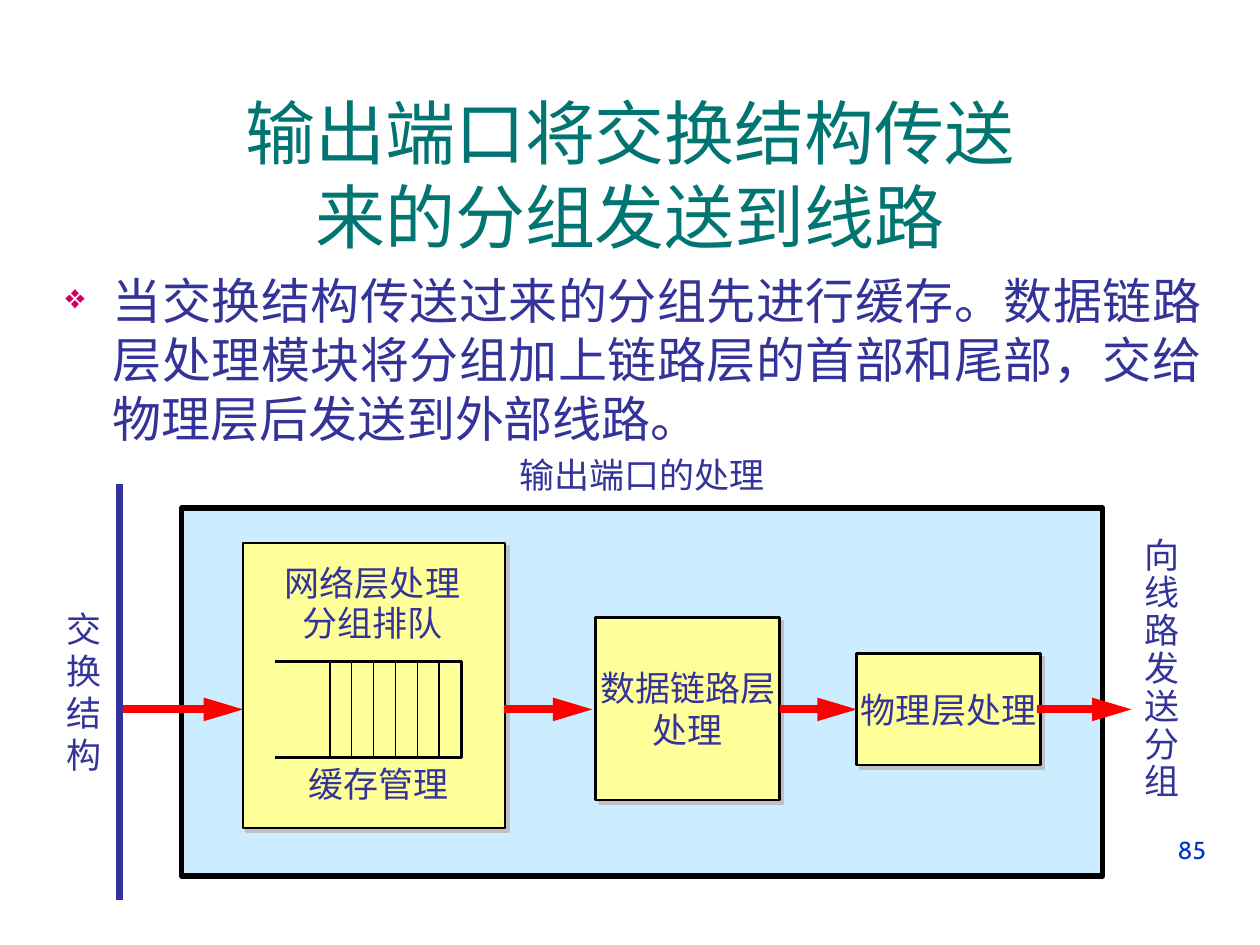
"""Build the slide on output port processing in a router."""

import dataclasses
import typing

import lxml.etree
import pptx
import pptx.dml.color
import pptx.enum.shapes
import pptx.enum.text
import pptx.oxml.ns
import pptx.util

Cm = pptx.util.Cm
Pt = pptx.util.Pt
Align = pptx.enum.text.PP_ALIGN
Anchor = pptx.enum.text.MSO_ANCHOR

INK = "333399"
BLACK = "000000"
RED = "FF0000"
YELLOW = "FFFF99"
ARROW_Y = 14.3
QUEUE_LEFT, QUEUE_TOP, QUEUE_RIGHT, QUEUE_BOTTOM = 5.54, 13.34, 9.3, 15.27
SLOT_LEFT, SLOT_STEP, SLOT_COUNT = 6.65, 0.44, 6


@dataclasses.dataclass
class Block:
    left: float
    top: float
    width: float
    height: float
    lines: tuple[str, ...] = ()
    fill: str = YELLOW
    border: float = 1.5
    shadow: bool = True


@dataclasses.dataclass
class Label:
    left: float
    top: float
    width: float
    height: float
    lines: typing.Sequence[str]
    spacing: float = 1.0


@dataclasses.dataclass
class Line:
    start: tuple[float, float]
    end: tuple[float, float]
    color: str
    width: float
    arrow: bool = False


BLOCKS = [
    Block(3.66, 10.24, 18.57, 7.42, fill="CCECFF", border=3, shadow=False),
    Block(17.27, 13.18, 3.71, 2.24, ("物理层处理",)),
    Block(12.01, 12.45, 3.71, 3.68, ("数据链路层", "处理")),
    Block(4.9, 10.95, 5.28, 5.74),
]
LABELS = [
    Label(5.49, 11.25, 4.04, 1.85, ("网络层处理", "分组排队"), 0.95),
    Label(10.22, 9.02, 5.45, 1.12, ("输出端口的处理",)),
    Label(22.81, 10.72, 1.22, 5.59, "向线路发送分组", 0.9),
    Label(5.97, 15.24, 3.33, 1.09, ("缓存管理",)),
    Label(1.09, 12.12, 1.22, 3.63, "交换结构"),
]
ARROW_SPANS = [(20.9, 22.81), (15.72, 17.27), (10.16, 11.94), (2.41, 4.9)]


def rgb(value: str) -> pptx.dml.color.RGBColor:
    return pptx.dml.color.RGBColor.from_string(value)


def add_element(parent, tag: str, **attributes: str):
    return lxml.etree.SubElement(parent, pptx.oxml.ns.qn(tag), attributes)


def format_paragraph(paragraph, size: float, color: str, align, name: str = "Arial") -> None:
    paragraph.alignment = align
    paragraph.font.size = Pt(size)
    paragraph.font.name = name
    paragraph.font.color.rgb = rgb(color)


def write_lines(frame, lines: typing.Sequence[str], spacing: float = 1.0) -> None:
    frame.word_wrap = False
    for index, line in enumerate(lines):
        paragraph = frame.add_paragraph() if index else frame.paragraphs[0]
        paragraph.text = line
        paragraph.line_spacing = spacing
        format_paragraph(paragraph, 20, INK, Align.CENTER)


def add_text_box(slide, left: float, top: float, width: float, height: float):
    shape = slide.shapes.add_textbox(Cm(left), Cm(top), Cm(width), Cm(height))
    shape.text_frame.word_wrap = True
    return shape.text_frame


def add_title(slide) -> None:
    title = slide.shapes.title
    title.left, title.top = Cm(0.84), Cm(1.9)
    title.width, title.height = Cm(23.72), Cm(3.18)
    frame = title.text_frame
    frame.text = "输出端口将交换结构传送\v来的分组发送到线路"
    frame.vertical_anchor = Anchor.MIDDLE
    frame.auto_size = pptx.enum.text.MSO_AUTO_SIZE.NONE
    format_paragraph(frame.paragraphs[0], 40, "007572", Align.CENTER)


def add_body(slide) -> None:
    paragraph = add_text_box(slide, 1.07, 5.33, 23.42, 3.84).paragraphs[0]
    paragraph.text = (
        "当交换结构传送过来的分组先进行缓存。数据链路层处理模块将分组"
        "加上链路层的首部和尾部，交给物理层后发送到外部线路。"
    )
    properties = paragraph._p.get_or_add_pPr()
    properties.set("marL", str(Cm(0.95)))
    properties.set("indent", str(Cm(-0.95)))
    add_element(add_element(properties, "a:buClr"), "a:srgbClr", val="CC0066")
    add_element(properties, "a:buSzPct", val="70000")
    add_element(properties, "a:buChar", char="❖")
    format_paragraph(paragraph, 28, INK, Align.JUSTIFY, "Cabin")


def add_page_number(slide) -> None:
    paragraph = add_text_box(slide, 18.21, 16.71, 6.35, 1.32).paragraphs[0]
    paragraph.text = "85"
    format_paragraph(paragraph, 14, "0033CC", Align.RIGHT, "Cabin")


def add_block(slide, block: Block) -> None:
    shape = slide.shapes.add_shape(
        pptx.enum.shapes.MSO_SHAPE.RECTANGLE,
        Cm(block.left), Cm(block.top), Cm(block.width), Cm(block.height),
    )
    shape.fill.solid()
    shape.fill.fore_color.rgb = rgb(block.fill)
    shape.line.color.rgb = rgb(BLACK)
    shape.line.width = Pt(block.border)
    shape.shadow.inherit = False
    if block.shadow:
        effects = shape._element.spPr.find(pptx.oxml.ns.qn("a:effectLst"))
        shadow = add_element(
            effects, "a:outerShdw", dist=str(Pt(2.8)), dir="2700000", algn="ctr", rotWithShape="0"
        )
        add_element(shadow, "a:srgbClr", val="C0C0C0")
    if block.lines:
        shape.text_frame.vertical_anchor = Anchor.MIDDLE
        write_lines(shape.text_frame, block.lines)


def add_line(slide, line: Line) -> None:
    connector = slide.shapes.add_connector(
        pptx.enum.shapes.MSO_CONNECTOR.STRAIGHT,
        *(Cm(value) for value in line.start + line.end),
    )
    connector.line.color.rgb = rgb(line.color)
    connector.line.width = Pt(line.width)
    if line.arrow:
        add_element(connector.line._ln, "a:tailEnd", type="triangle", w="med", len="lg")
    add_element(connector._element.spPr, "a:effectLst")


def add_queue(slide) -> None:
    builder = slide.shapes.build_freeform(Cm(QUEUE_LEFT), Cm(QUEUE_TOP))
    corners = [(QUEUE_RIGHT, QUEUE_TOP), (QUEUE_RIGHT, QUEUE_BOTTOM), (QUEUE_LEFT, QUEUE_BOTTOM)]
    builder.add_line_segments([(Cm(x), Cm(y)) for x, y in corners], close=False)
    outline = builder.convert_to_shape()
    outline.fill.background()
    outline.line.color.rgb = rgb(BLACK)
    outline.line.width = Pt(1.5)
    outline.shadow.inherit = False
    for index in range(SLOT_COUNT):
        x = SLOT_LEFT + index * SLOT_STEP
        add_line(slide, Line((x, QUEUE_TOP), (x, QUEUE_BOTTOM), BLACK, 0.75))


def add_label(slide, label: Label) -> None:
    frame = add_text_box(slide, label.left, label.top, label.width, label.height)
    frame.auto_size = pptx.enum.text.MSO_AUTO_SIZE.SHAPE_TO_FIT_TEXT
    write_lines(frame, label.lines, label.spacing)


def main() -> None:
    presentation = pptx.Presentation()
    presentation.slide_width, presentation.slide_height = Cm(25.4), Cm(19.05)
    slide = presentation.slides.add_slide(presentation.slide_layouts[5])
    add_page_number(slide)
    add_title(slide)
    add_body(slide)
    for block in BLOCKS:
        add_block(slide, block)
    for start, end in ARROW_SPANS:
        add_line(slide, Line((start, ARROW_Y), (end, ARROW_Y), RED, 4.5, arrow=True))
    add_line(slide, Line((2.41, 9.75), (2.41, 18.14), INK, 4.5))
    add_queue(slide)
    for label in LABELS:
        add_label(slide, label)
    presentation.save("out.pptx")


if __name__ == "__main__":
    main()
